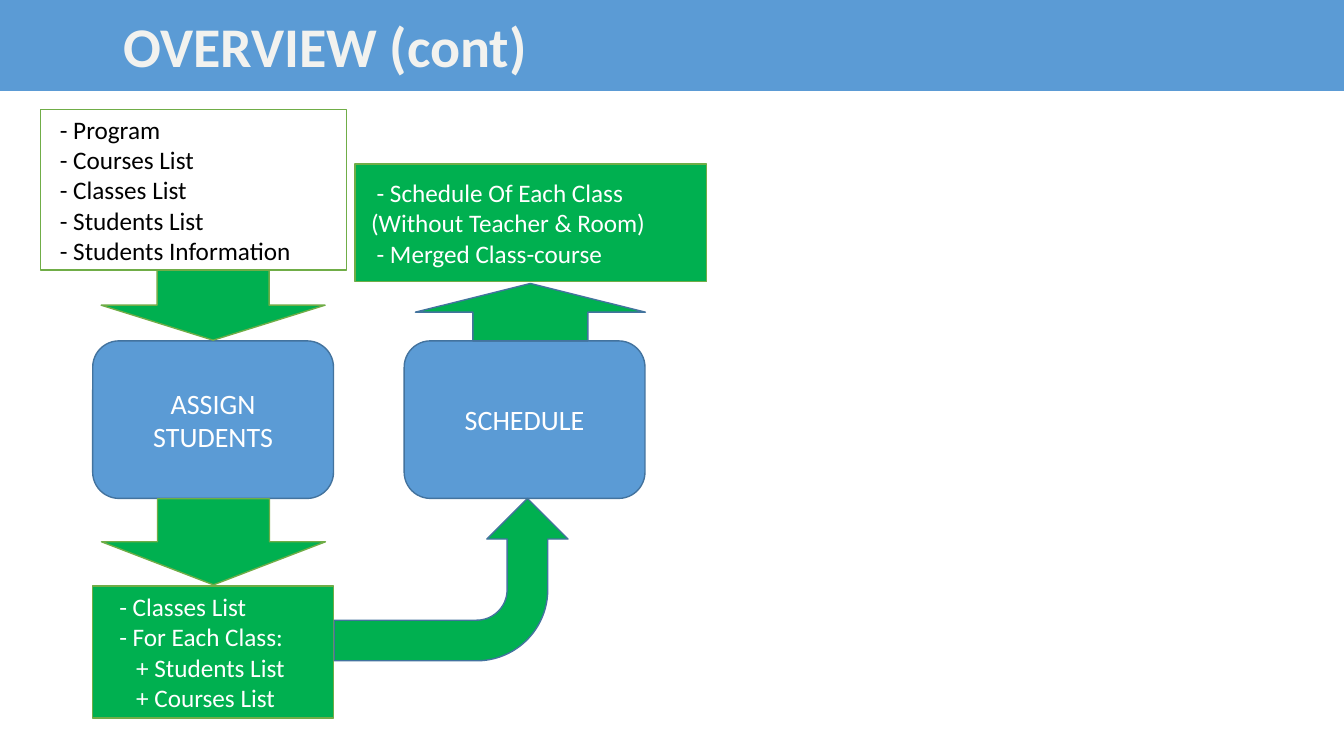
from pptx import Presentation
from pptx.dml.color import RGBColor
from pptx.enum.shapes import MSO_SHAPE
from pptx.enum.text import MSO_ANCHOR, MSO_AUTO_SIZE, PP_ALIGN
from pptx.util import Pt

BLUE = RGBColor(0x5B, 0x9B, 0xD5)
DARK_BLUE = RGBColor(0x43, 0x73, 0x9E)
GREEN = RGBColor(0x00, 0xB0, 0x50)
LEAF = RGBColor(0x70, 0xAD, 0x47)
WHITE = RGBColor(0xFF, 0xFF, 0xFF)
BLACK = RGBColor(0x00, 0x00, 0x00)
OFF_WHITE = RGBColor(0xF2, 0xF2, 0xEF)

COMPARISON_LAYOUT = 4
STEP_TOP, STEP_WIDTH, STEP_HEIGHT = 243.5, 172, 112.5
ASSIGN_LEFT, SCHEDULE_LEFT = 66.25, 288.75


def apply(target, values):
    for name, value in values.items():
        setattr(target, name, value)


def place(shape, left, top, width, height):
    apply(shape, {"left": Pt(left), "top": Pt(top),
                  "width": Pt(width), "height": Pt(height)})


def paint(shape, fill, line=None):
    shape.fill.solid()
    shape.fill.fore_color.rgb = fill
    if line is None:
        shape.line.fill.background()
    else:
        shape.line.color.rgb = line
        shape.line.width = Pt(1)


def write(shape, lines, color, size, left_margin, right_margin=0,
          align=PP_ALIGN.LEFT, bold=False):
    """Fill a shape with (indent, text) lines, centred vertically."""
    frame = shape.text_frame
    frame.text = "\n".join(text for _, text in lines)
    apply(frame, {"word_wrap": True, "auto_size": MSO_AUTO_SIZE.NONE,
                  "vertical_anchor": MSO_ANCHOR.MIDDLE,
                  "margin_left": Pt(left_margin), "margin_right": Pt(right_margin),
                  "margin_top": 0, "margin_bottom": 0})
    for paragraph, (indent, _) in zip(frame.paragraphs, lines):
        apply(paragraph, {"alignment": align, "line_spacing": 1.0,
                          "space_before": Pt(0), "space_after": Pt(0)})
        properties = paragraph._p.get_or_add_pPr()
        properties.set("marL", str(Pt(indent)))
        properties.set("indent", "0")
        # The dashes are part of the wording, so the inherited bullet goes
        properties.append(properties.makeelement(
            "{http://schemas.openxmlformats.org/drawingml/2006/main}buNone", {}))
        for run in paragraph.runs:
            apply(run.font, {"name": "Calibri", "size": Pt(size), "bold": bold})
            run.font.color.rgb = color


def data_list(placeholder, box, lines, fill, color, margin):
    place(placeholder, *box)
    paint(placeholder, fill, LEAF)
    write(placeholder, lines, color, 18, margin)


def block(slide, kind, box, fill, line):
    shape = slide.shapes.add_shape(kind, *(Pt(length) for length in box))
    shape.shadow.inherit = False
    paint(shape, fill, line)
    return shape


def step(slide, left, label):
    shape = block(slide, MSO_SHAPE.ROUNDED_RECTANGLE,
                  (left, STEP_TOP, STEP_WIDTH, STEP_HEIGHT), BLUE, DARK_BLUE)
    write(shape, [(0, label)], WHITE, 20, 20, 20, PP_ALIGN.CENTER)


def main():
    deck = Presentation()
    apply(deck, {"slide_width": Pt(960), "slide_height": Pt(540)})
    slide = deck.slides.add_slide(deck.slide_layouts[COMPARISON_LAYOUT])
    parts = {part.placeholder_format.idx: part for part in slide.placeholders}

    # Title band
    title = slide.shapes.title
    place(title, 0, 0, 960, 65)
    paint(title, BLUE)
    write(title, [(0, "OVERVIEW (cont)")], OFF_WHITE, 40, 88, bold=True)

    # Data going in and out of the steps
    data_list(parts[1], (28.75, 78, 219, 115),
              [(0, "- Program"), (0, "- Courses List"), (0, "- Classes List"),
               (0, "- Students List"), (0, "- Students Information")],
              WHITE, BLACK, 14)
    data_list(parts[2], (ASSIGN_LEFT, 418.5, STEP_WIDTH, 94.25),
              [(0, "- Classes List"), (0, "- For Each Class:"),
               (12, "+ Students List"), (12, "+ Courses List")],
              GREEN, WHITE, 19)
    data_list(parts[4], (253.5, 117.25, 251.25, 84),
              [(4, "- Schedule Of Each Class"), (0, "(Without Teacher & Room)"),
               (4, "- Merged Class-course")],
              GREEN, WHITE, 11.5)
    unused = parts[3]._element
    unused.getparent().remove(unused)

    # Steps
    step(slide, ASSIGN_LEFT, "ASSIGN STUDENTS")
    step(slide, SCHEDULE_LEFT, "SCHEDULE")

    # Straight block arrows
    for kind, box, line in (
            (MSO_SHAPE.DOWN_ARROW, (72.25, 193, 160, 50), LEAF),
            (MSO_SHAPE.DOWN_ARROW, (72.5, 356.25, 160, 61.5), LEAF),
            (MSO_SHAPE.UP_ARROW, (296.75, 202.5, 164.25, 41), DARK_BLUE)):
        block(slide, kind, box, GREEN, line)

    # Turn from the class lists up to scheduling
    turn = block(slide, MSO_SHAPE.BENT_ARROW, (264.25, 330.5, 116, 167),
                 GREEN, DARK_BLUE)
    turn.rotation = 90
    turn._element.spPr.xfrm.set("flipH", "1")

    deck.save("out.pptx")


if __name__ == "__main__":
    main()
